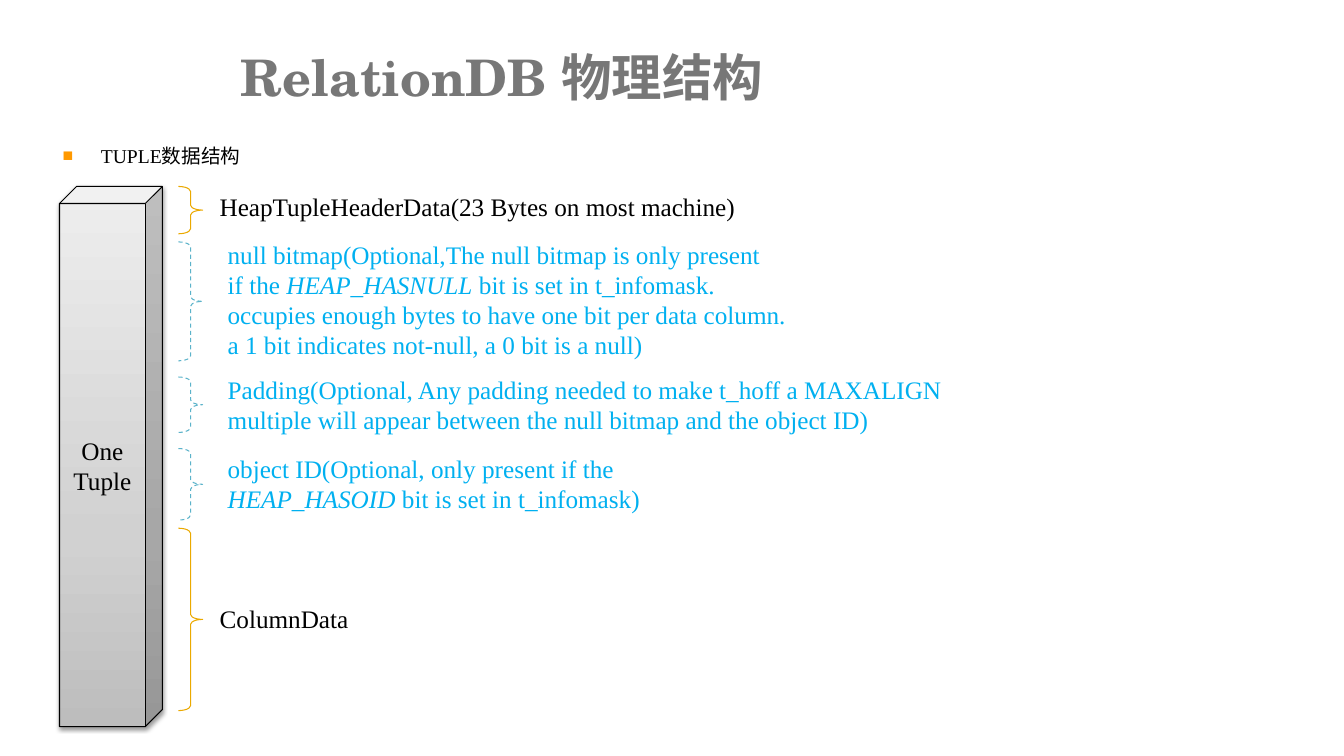
"""Build a slide on the physical layout of one heap tuple."""
import lxml.etree
import pptx
import pptx.dml.color
import pptx.enum.dml
import pptx.enum.shapes
import pptx.enum.text
import pptx.oxml.ns
import pptx.util

PX = 9144
HUES = {"black": "000000", "grey": "777777", "blue": "00B0F0", "gold": "EBA900",
        "teal": "5BB3CA", "orange": "FF9900"}
SHADES = {0: "BDBDBD", 35000: "D1D1D1", 100000: "EEEEEE"}
SERIF = "Times New Roman"
RGB = pptx.dml.color.RGBColor.from_string
ALIGN = pptx.enum.text.PP_ALIGN
KIND = pptx.enum.shapes.MSO_SHAPE


def node(root, tag, **attrs):
    return lxml.etree.SubElement(root, pptx.oxml.ns.qn("a:" + tag), attrs)


def write(frame, lines, hue, size=18, name=SERIF, bold=None, align=ALIGN.LEFT):
    for i, line in enumerate(lines):
        para = frame.add_paragraph() if i else frame.paragraphs[0]
        para.alignment = align
        for j, part in enumerate(line.split("*")):
            if not part:
                continue
            run = para.add_run()
            run.text = part
            form = {"size": pptx.util.Pt(size), "name": name, "bold": bold,
                    "italic": j % 2 == 1}
            for key, value in form.items():
                setattr(run.font, key, value)
            run.font.color.rgb = RGB(HUES[hue])


deck = pptx.Presentation()
deck.slide_width, deck.slide_height = 1333 * PX, 750 * PX
slide = deck.slides.add_slide(deck.slide_layouts[1])
shapes = slide.shapes

title, body = slide.placeholders
for holder, box in ((title, (229, 40, 1038, 71)), (body, (52, 133, 1215, 547))):
    for key, value in zip(("left", "top", "width", "height"), box):
        setattr(holder, key, value * PX)
title.text_frame.vertical_anchor = pptx.enum.text.MSO_ANCHOR.MIDDLE
write(title.text_frame, ["RelationDB 物理结构"], "grey", 36, "TeX Gyre Schola", True)
write(body.text_frame, ["TUPLE数据结构"], "black", 14)
item = body.text_frame.paragraphs[0]
item.line_spacing = 1.2
props = item._p.get_or_add_pPr()
props.set("marL", str(38 * PX))
props.set("indent", str(-38 * PX))
node(node(props, "buClr"), "srgbClr", val=HUES["orange"])
node(props, "buSzPct", val="90000")
node(props, "buFont", typeface="Arial")
node(props, "buChar", char="■")

cube = shapes.add_shape(KIND.CUBE, 59 * PX, 185 * PX, 102 * PX, 536 * PX)
cube.adjustments[0] = 0.166
cube.fill.gradient()
cube.fill.gradient_angle = 90
stops = cube._element.spPr.find(".//" + pptx.oxml.ns.qn("a:gsLst"))
stops.clear()
for pos, shade in SHADES.items():
    node(node(stops, "gs", pos=str(pos)), "srgbClr", val=shade)
cube.line.color.rgb = RGB(HUES["black"])
cube.line.width = pptx.util.Pt(0.75)
cube.shadow.inherit = False
effect = cube._element.spPr.find(pptx.oxml.ns.qn("a:effectLst"))
cast = node(effect, "outerShdw", blurRad="39370", dist="20320", dir="5400000",
            rotWithShape="0")
node(node(cast, "srgbClr", val=HUES["black"]), "alpha", val="38000")
cube.text_frame.vertical_anchor = pptx.enum.text.MSO_ANCHOR.MIDDLE
write(cube.text_frame, ["One", "Tuple"], "black", align=ALIGN.CENTER)

PARTS = [
    (False, 185, 47, (185, 555, 40), ["HeapTupleHeaderData(23 Bytes on most machine)"]),
    (True, 240, 118, (232, 580, 131), [
        "null bitmap(Optional,The null bitmap is only present",
        "if the *HEAP_HASNULL* bit is set in t_infomask.",
        "occupies enough bytes to have one bit per data column.",
        "a 1 bit indicates not-null, a 0 bit is a null)"]),
    (True, 374, 55, (366, 742, 71), [
        "Padding(Optional, Any padding needed to make t_hoff a MAXALIGN",
        "multiple will appear between the null bitmap and the object ID)"]),
    (True, 445, 71, (445, 433, 71), [
        "object ID(Optional, only present if the",
        "*HEAP_HASOID* bit is set in t_infomask)"]),
    (False, 524, 181, (594, 555, 40), ["ColumnData"]),
]
for extra, top, tall, (y, wide, high), lines in PARTS:
    brace = shapes.add_shape(KIND.RIGHT_BRACE, 177 * PX, top * PX, 24 * PX, tall * PX)
    brace.adjustments[0] = 0.205
    brace.adjustments[1] = 0.5
    brace.shadow.inherit = False
    brace.fill.background()
    brace.line.color.rgb = RGB(HUES["teal" if extra else "gold"])
    brace.line.width = pptx.util.Pt(0.75)
    if extra:
        brace.line.dash_style = pptx.enum.dml.MSO_LINE.DASH
    label = shapes.add_textbox((216 if extra else 208) * PX, y * PX, wide * PX, high * PX)
    label.text_frame.word_wrap = True
    label.text_frame.auto_size = pptx.enum.text.MSO_AUTO_SIZE.SHAPE_TO_FIT_TEXT
    write(label.text_frame, lines, "blue" if extra else "black")

deck.save("out.pptx")
